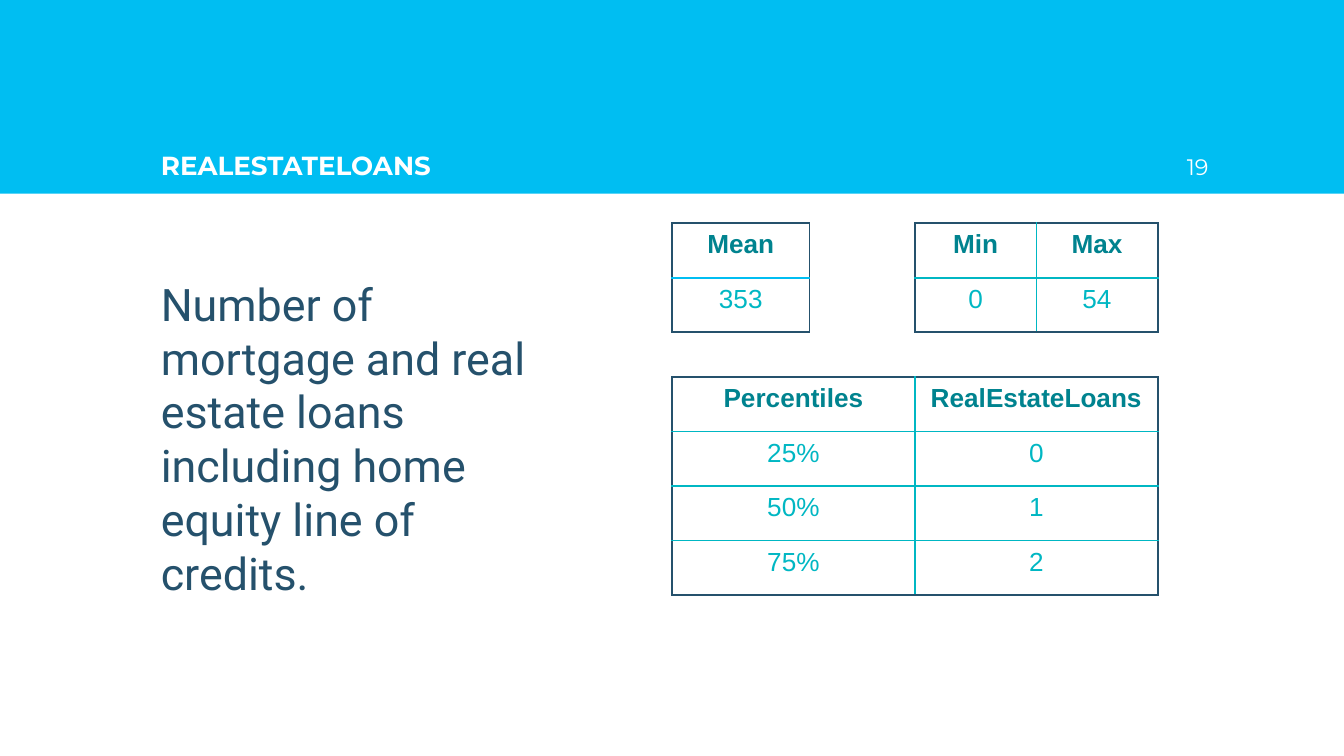
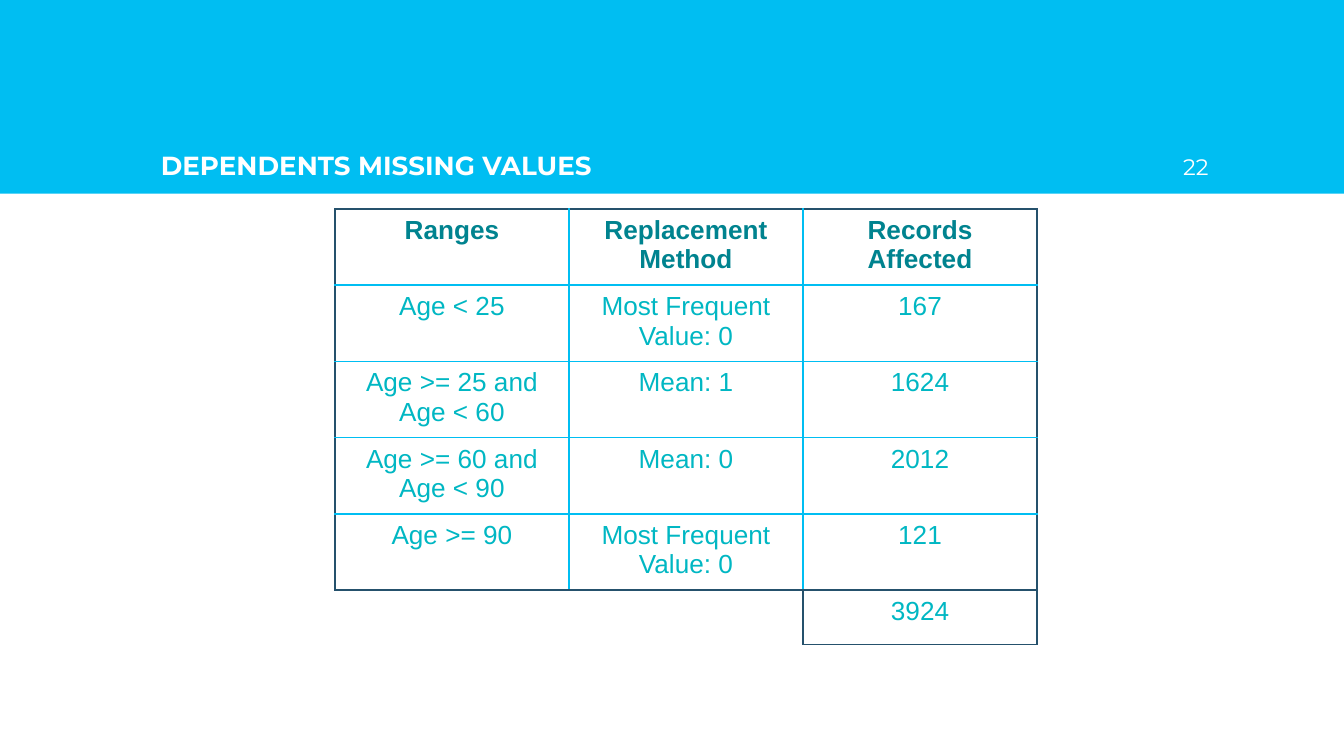
from lxml import etree
from pptx import Presentation
from pptx.dml.color import RGBColor
from pptx.enum.shapes import MSO_SHAPE
from pptx.enum.text import MSO_ANCHOR, PP_ALIGN
from pptx.oxml.ns import qn
from pptx.util import Cm, Pt

RECT = MSO_SHAPE.RECTANGLE
TOP, BOTTOM = MSO_ANCHOR.TOP, MSO_ANCHOR.BOTTOM
LEFT, CENTER, RIGHT = PP_ALIGN.LEFT, PP_ALIGN.CENTER, PP_ALIGN.RIGHT

COLORS = {
    "sky": "00BEF2",
    "teal": "00B7C3",
    "deep_teal": "00838F",
    "navy": "25516C",
    "white": "FFFFFF",
}
STYLES = {
    "title": {"name": "Montserrat", "size": Pt(14), "bold": True, "color": "white"},
    "number": {"name": "Montserrat", "size": Pt(12), "bold": False, "color": "white"},
    "body": {"name": "Roboto", "size": Pt(24), "bold": False, "color": "navy"},
    "head": {"name": "Arial", "size": Pt(14), "bold": True, "color": "deep_teal"},
    "cell": {"name": "Arial", "size": Pt(14), "bold": False, "color": "teal"},
}
PAGE_W, PAGE_H = 25.4, 14.29
BAND = (0, 0, PAGE_W, 3.66)
MARGIN = 2.79
INSET = 0.25
ROW_H = 1.03
TALL_ROW_H = 1.36


def rgb(name):
    """Return the palette colour called name."""
    return RGBColor.from_string(COLORS[name])


def write(tf, text, style, align):
    """Put one styled paragraph in a text frame."""
    p = tf.paragraphs[0]
    p.alignment = align
    r = p.add_run()
    r.text = text
    for key, value in STYLES[style].items():
        if key == "color":
            r.font.color.rgb = rgb(value)
        else:
            setattr(r.font, key, value)


def add_text(s, box, text, style, align=LEFT, anchor=TOP):
    """Add a wrapping text box with even insets."""
    tf = s.shapes.add_textbox(*map(Cm, box)).text_frame
    frame = {"word_wrap": True, "vertical_anchor": anchor}
    frame.update({f"margin_{side}": Cm(INSET) for side in ("left", "top", "right", "bottom")})
    for key, value in frame.items():
        setattr(tf, key, value)
    write(tf, text, style, align)


def add_header(s, box, title, number):
    """Draw the band with the title and page number on its lower half."""
    left, top, width, height = box
    band = s.shapes.add_shape(RECT, *map(Cm, box))
    band.shadow.inherit = False
    band.fill.solid()
    band.fill.fore_color.rgb = rgb("sky")
    band.line.fill.background()
    half = height / 2
    middle = top + half
    number_box = (left + width - 3.83, middle, 1.52, half)
    title_box = (left + MARGIN, middle, width - 2 * MARGIN, half)
    add_text(s, number_box, number, "number", RIGHT, BOTTOM)
    add_text(s, title_box, title, "title", LEFT, BOTTOM)


def set_borders(cell, colors):
    """Give a cell one-point borders from a side-to-colour dict."""
    tc_pr = cell._tc.get_or_add_tcPr()
    for side, color in colors.items():
        ln = etree.SubElement(tc_pr, qn(f"a:ln{side}"), w=str(Pt(1)))
        fill = etree.SubElement(ln, qn("a:solidFill"))
        etree.SubElement(fill, qn("a:srgbClr"), val=COLORS[color])


def add_grid(s, box, rows, inner, top_edge="navy", has_head=True):
    """Add an unfilled table with a navy frame and coloured inner rules."""
    left, top, width, row_h = box
    n_rows, n_cols = len(rows), len(rows[0])
    size = (left, top, width, row_h * n_rows)
    table = s.shapes.add_table(n_rows, n_cols, *map(Cm, size)).table
    table.first_row = has_head
    table.horz_banding = False
    for col in table.columns:
        col.width = Cm(width / n_cols)
    for i, row in enumerate(rows):
        table.rows[i].height = Cm(row_h)
        for j, text in enumerate(row):
            cell = table.cell(i, j)
            set_borders(cell, {
                "L": "navy" if j == 0 else inner,
                "R": "navy" if j == n_cols - 1 else inner,
                "T": top_edge if i == 0 else inner,
                "B": "navy" if i == n_rows - 1 else inner,
            })
            cell.fill.background()
            style = "head" if has_head and i == 0 else "cell"
            write(cell.text_frame, text, style, CENTER)


def add_statistics(s, box):
    """Place the mean, range and percentile tables in a box."""
    left, top, width, height = box
    half = width / 2
    percentiles = [
        ("Percentiles", "RealEstateLoans"),
        ("25%", "0"),
        ("50%", "1"),
        ("75%", "2"),
    ]
    lower = top + height - ROW_H * len(percentiles)
    add_grid(s, (left + half, top, half, ROW_H), [("Min", "Max"), ("0", "54")], "teal")
    add_grid(s, (left, lower, width, ROW_H), percentiles, "teal")
    add_grid(s, (left, top, 2.6, ROW_H), [("Mean",), ("353",)], "sky")


def add_replacements(s, box):
    """Place the replacement table with its total below the last column."""
    left, top, width, height = box
    rows = [
        ("Ranges", "Replacement Method", "Records Affected"),
        ("Age < 25", "Most Frequent Value: 0", "167"),
        ("Age >= 25 and Age < 60", "Mean: 1", "1624"),
        ("Age >= 60 and Age < 90", "Mean: 0", "2012"),
        ("Age >= 90", "Most Frequent Value: 0", "121"),
    ]
    col_w = width / len(rows[0])
    total_box = (left + width - col_w, top + height - ROW_H, col_w, ROW_H)
    add_grid(s, total_box, [("3924",)], "sky", top_edge="sky", has_head=False)
    add_grid(s, (left, top, width, TALL_ROW_H), rows, "sky")


def add_slide(prs, title, number):
    """Add a blank slide with the shared header."""
    s = prs.slides.add_slide(prs.slide_layouts[6])
    add_header(s, BAND, title, number)
    return s


def main():
    """Build and save the two slides."""
    prs = Presentation()
    prs.slide_width, prs.slide_height = Cm(PAGE_W), Cm(PAGE_H)

    s = add_slide(prs, "REALESTATELOANS", "19")
    text = "Number of mortgage and real estate loans including home equity line of credits."
    add_text(s, (MARGIN, 4.98, 7.9, 5.64), text, "body")
    add_statistics(s, (12.7, 4.22, 9.18, 7.03))

    s = add_slide(prs, "DEPENDENTS MISSING VALUES", "22")
    add_replacements(s, (6.33, 3.95, 13.27, 8.23))

    prs.save("out.pptx")


if __name__ == "__main__":
    main()
